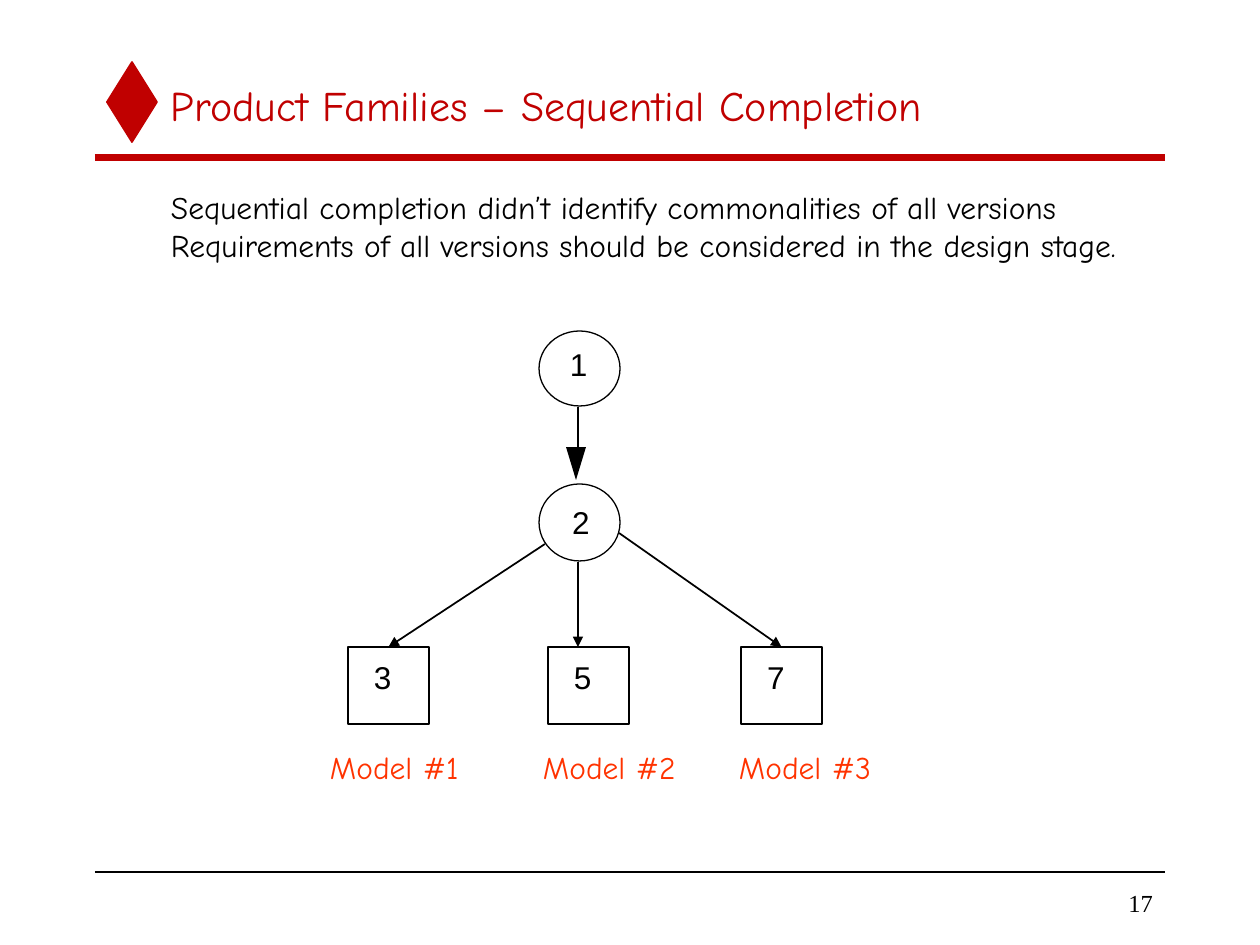
import pptx
import pptx.util
import pptx.dml.color
import pptx.enum.shapes
import pptx.enum.text
import pptx.oxml.ns
import lxml.etree

RGB = pptx.dml.color.RGBColor
KIND = pptx.enum.shapes.MSO_SHAPE
ALIGN = pptx.enum.text.PP_ALIGN
ANCHOR = pptx.enum.text.MSO_ANCHOR
RED = RGB(0xC0, 0, 0)
ORANGE = RGB(0xFF, 0x33, 0)
BLACK = RGB(0, 0, 0)
WHITE = RGB(255, 255, 255)
HAND = "Comic Neue"
SCALE = 914400 / 126

TITLE = "Product Families – Sequential Completion"
BODY = [
    "Sequential completion didn’t identify commonalities of all versions",
    "Requirements of all versions should be considered in the design stage.",
]
MODELS = ["Model #1", "Model #2", "Model #3"]
STOPS = [213, 409]
RULES = [(158, RED, 4), (872, BLACK, 1)]
NODES = [
    ("1", (539, 331, 81, 75), (570, 345)),
    ("2", (539, 484, 81, 77), (572, 503)),
]
BOXES = [("3", 348), ("5", 548), ("7", 741)]
BOX_TOP, BOX_W, BOX_H = 647, 81, 77
DIGIT = (18, 38)
STEM = (578, 407, 578, 450)
HEAD = [(576, 480), (566, 447), (586, 447)]
ARROWS = [
    ((545, 544, 392, 650), True),
    ((578, 562, 578, 647), False),
    ((619, 533, 780, 648), True),
]


def px(n):
    return pptx.util.Emu(round(n * SCALE))


def add_xml(parent, tag, **attrs):
    return lxml.etree.SubElement(parent, pptx.oxml.ns.qn(tag), attrs)


def paint(shape, fill, line, width=0.75):
    shape.shadow.inherit = False
    shape.fill.solid()
    shape.fill.fore_color.rgb = fill
    shape.line.color.rgb = line
    shape.line.width = pptx.util.Pt(width)
    return shape


def add_shape(kind, box, fill, line, width=0.75):
    shape = slide.shapes.add_shape(kind, *map(px, box))
    return paint(shape, fill, line, width)


def add_line(ends, color, width, arrow=False):
    line = slide.shapes.add_connector(
        pptx.enum.shapes.MSO_CONNECTOR.STRAIGHT, *map(px, ends))
    line.line.color.rgb = color
    line.line.width = pptx.util.Pt(width)
    if arrow:
        add_xml(line.line._get_or_add_ln(), "a:tailEnd", type="triangle")
    add_xml(line._element.spPr, "a:effectLst")
    return line


def add_text(box, lines, size, font, color, align=ALIGN.LEFT,
             anchor=ANCHOR.TOP, inset=(13, 6)):
    frame = slide.shapes.add_textbox(*map(px, box)).text_frame
    frame.word_wrap = True
    frame.vertical_anchor = anchor
    frame.margin_left = frame.margin_right = px(inset[0])
    frame.margin_top = frame.margin_bottom = px(inset[1])
    for i, text in enumerate(lines):
        para = frame.add_paragraph() if i else frame.paragraphs[0]
        para.alignment = align
        run = para.add_run()
        run.text = text
        run.font.size = pptx.util.Pt(size)
        run.font.name = font
        run.font.color.rgb = color
    return frame


def add_digit(text, spot):
    add_text((*spot, *DIGIT), [text], 18, "Arial", BLACK, inset=(0, 0))


deck = pptx.Presentation()
deck.slide_width, deck.slide_height = px(1260), px(945)
slide = deck.slides.add_slide(deck.slide_layouts[6])

add_shape(KIND.DIAMOND, (107, 62, 50, 80), RED, RED, 1)
for y, color, width in RULES:
    add_line((95, y, 1165, y), color, width)
add_text((987, 882, 179, 42), ["17"], 14, "Times New Roman", BLACK,
         ALIGN.RIGHT, ANCHOR.MIDDLE)
add_text((158, 63, 1008, 84), [TITLE], 24, HAND, RED, anchor=ANCHOR.MIDDLE)
add_text((158, 182, 1000, 88), BODY, 18, HAND, BLACK)

for text, oval, spot in NODES:
    add_shape(KIND.OVAL, oval, WHITE, BLACK)
    add_digit(text, spot)

pen = slide.shapes.build_freeform(*HEAD[0], scale=SCALE)
pen.add_line_segments(HEAD[1:], close=True)
paint(pen.convert_to_shape(), BLACK, BLACK).line.fill.background()
add_line(STEM, BLACK, 0.75)

for (text, x), (ends, joined) in zip(BOXES, ARROWS):
    box = add_shape(KIND.RECTANGLE, (x, BOX_TOP, BOX_W, BOX_H), WHITE, BLACK)
    add_digit(text, (x + 26, BOX_TOP + 11))
    arrow = add_line(ends, BLACK, 1, True)
    if joined:
        arrow.end_connect(box, 0)

labels = add_text((317, 742, 600, 50), ["\t".join(MODELS)], 18, HAND, ORANGE)
tabs = add_xml(labels.paragraphs[0]._p.get_or_add_pPr(), "a:tabLst")
for stop in STOPS:
    add_xml(tabs, "a:tab", pos=str(px(stop)), algn="l")

deck.save("out.pptx")
